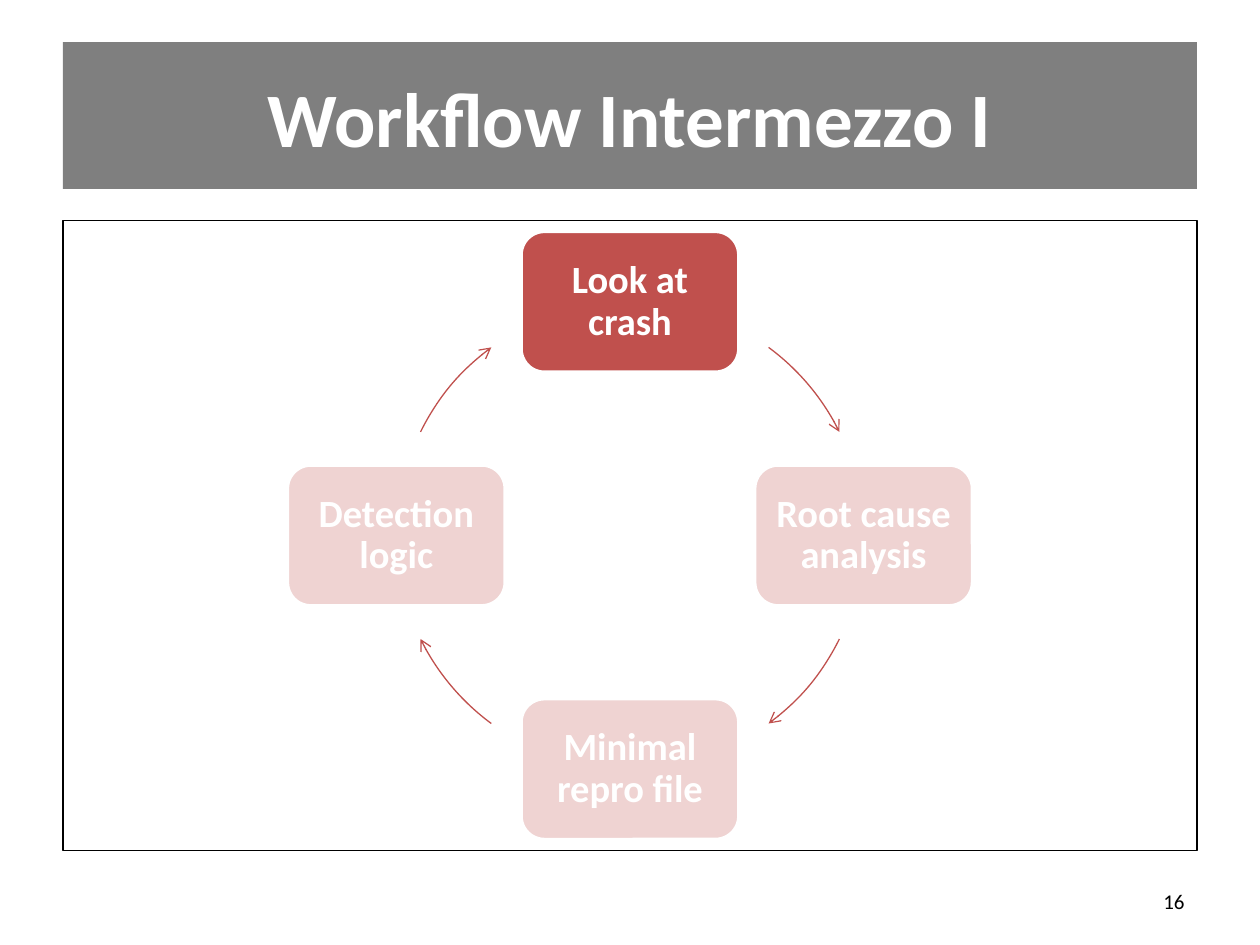
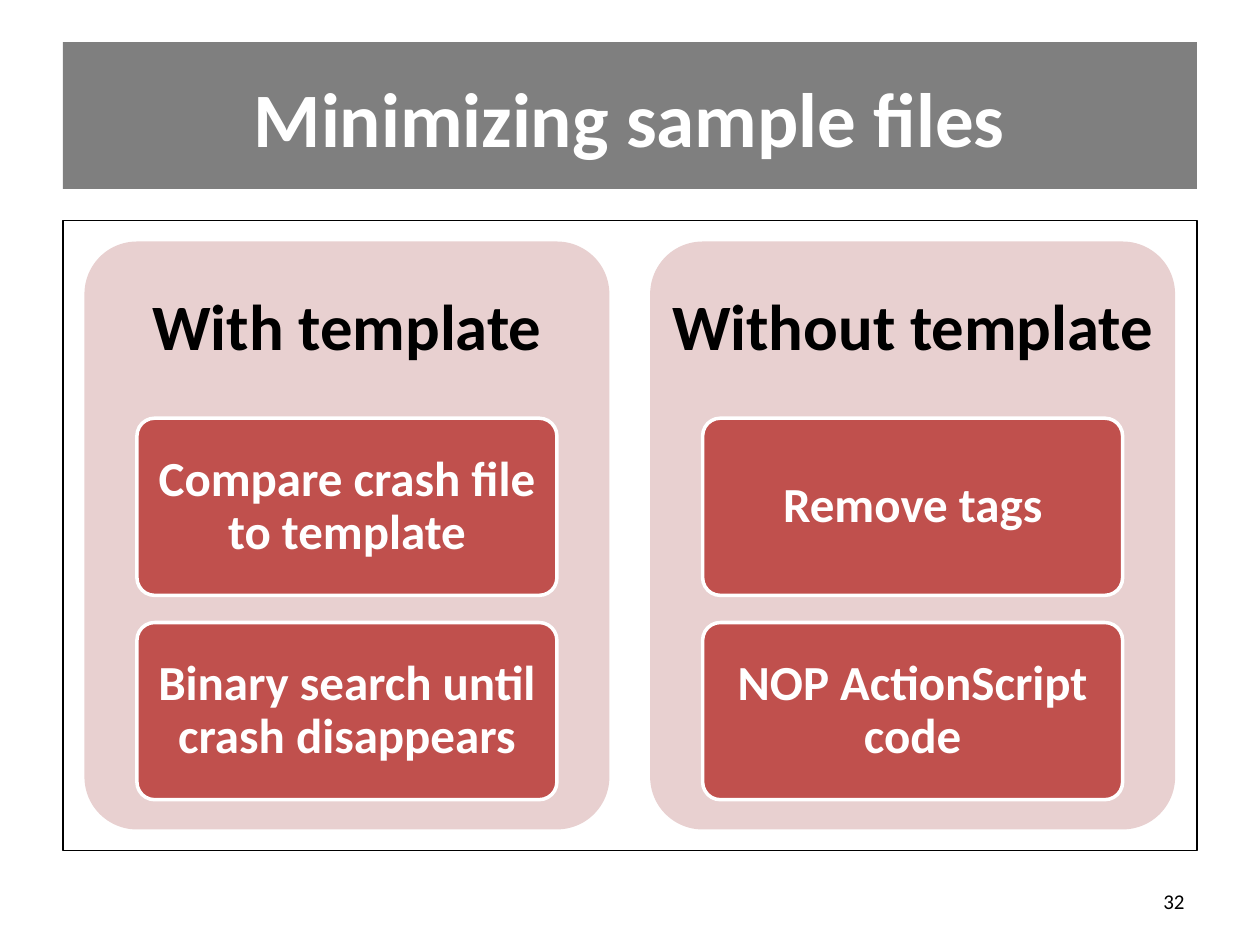
from lxml import etree
from pptx import Presentation
from pptx.dml.color import RGBColor
from pptx.enum.shapes import MSO_SHAPE as Shape
from pptx.enum.text import MSO_ANCHOR as Anchor, MSO_AUTO_SIZE as AutoSize, PP_ALIGN as Align
from pptx.oxml.ns import qn
from pptx.util import Pt

COLORS = {"ink": "000000", "paper": "FFFFFF", "red": "C0504D", "blush": "E8D0D0"}
FONT = "Calibri"
TITLE_ONLY = 5
MARGIN, CONTENT_WIDTH = 36, 648


def rgb(name):
    return RGBColor.from_string(COLORS[name])


def write(target, text, size, color="paper", bold=True, align=Align.CENTER,
          insets=(7.2, 3.6), spacing=None):
    """Fill a shape's text frame with one formatted paragraph."""
    frame = target.text_frame
    frame.word_wrap = True
    frame.auto_size = AutoSize.NONE
    frame.vertical_anchor = Anchor.MIDDLE
    frame.margin_left = frame.margin_right = Pt(insets[0])
    frame.margin_top = frame.margin_bottom = Pt(insets[1])
    paragraph = frame.paragraphs[0]
    paragraph.alignment = align
    if spacing:
        paragraph.line_spacing = spacing
    run = paragraph.add_run()
    run.text = text
    run.font.name, run.font.size, run.font.bold = FONT, Pt(size), bold
    run.font.color.rgb = rgb(color)


def add_block(slide, kind, box, fill=None, opacity=None, line=None, weight=1, corner=None):
    """Add a preset shape; box is left, top, width, height in points."""
    block = slide.shapes.add_shape(kind, *map(Pt, box))
    block.shadow.inherit = False
    if corner is not None:
        block.adjustments[0] = corner
    if fill:
        block.fill.solid()
        block.fill.fore_color.rgb = rgb(fill)
    else:
        block.fill.background()
    if opacity:
        color = block.element.spPr.find(qn("a:solidFill"))[0]
        etree.SubElement(color, qn("a:alpha"), val=str(opacity * 1000))
    if line:
        block.line.color.rgb = rgb(line)
        block.line.width = Pt(weight)
    else:
        block.line.fill.background()
    return block


def add_label(slide, box, text, size, **style):
    write(slide.shapes.add_textbox(*map(Pt, box)), text, size, **style)


def add_framed_slide(deck, heading, number):
    """Start a slide with the title band, content frame and page number."""
    slide = deck.slides.add_slide(deck.slide_layouts[TITLE_ONLY])
    title = slide.shapes.title
    title.left, title.top = Pt(MARGIN), Pt(21.6)
    title.width, title.height = Pt(CONTENT_WIDTH), Pt(90)
    write(title, heading, 44)

    # The band lies behind the title
    band = add_block(slide, Shape.RECTANGLE, (MARGIN, 24, CONTENT_WIDTH, 84), "ink", opacity=50)
    title.element.addprevious(band.element)
    add_block(slide, Shape.RECTANGLE, (MARGIN, 126, CONTENT_WIDTH, 360), line="ink")
    add_label(slide, (516, 500.5, 168, 28.75), number, 12, color="ink", bold=False,
              align=Align.RIGHT)
    return slide


def add_cycle_arrow(slide, center, radius, start, end):
    """Draw a clockwise arc between two angles, in degrees from the right."""
    box = (center[0] - radius, center[1] - radius, 2 * radius, 2 * radius)
    arrow = add_block(slide, Shape.ARC, box, line="red", weight=0.75)
    for index, angle in enumerate((start, end)):
        arrow.adjustments[index] = angle * 0.6
    etree.SubElement(arrow.element.spPr.find(qn("a:ln")), qn("a:tailEnd"), type="arrow")


def add_workflow_cycle(slide, steps, active):
    center, radius = (360, 306), 133.5
    width, height = 124.5, 80.5
    directions = ((0, -1), (1, 0), (0, 1), (-1, 0))
    for index, (step, (dx, dy)) in enumerate(zip(steps, directions)):
        box = (center[0] + dx * radius - width / 2, center[1] + dy * radius - height / 2,
               width, height)
        node = add_block(slide, Shape.ROUNDED_RECTANGLE, box, "red",
                         opacity=None if step == active else 25, line="paper", weight=2)
        write(node, step, 22, insets=(6.5, 6.5), spacing=0.9)

        # Arrows beside the top and bottom nodes leave a wider gap there
        quarter = (270 + 90 * index) % 360
        lead, trail = (36.4, 63.7) if index % 2 == 0 else (26.3, 53.6)
        add_cycle_arrow(slide, center, radius, quarter + lead, quarter + trail)


def add_method_columns(slide, methods):
    width, pitch, top = 300, 323.25, 138
    card_inset, card_height, card_pitch = 30, 101.25, 116.75
    for column, (method, actions) in enumerate(methods.items()):
        left = 48.25 + column * pitch
        add_block(slide, Shape.ROUNDED_RECTANGLE, (left, top, width, 336), "blush", corner=0.1)
        add_label(slide, (left, top, width, 101), method, 37, color="ink",
                  insets=(10.5, 10.5), spacing=0.9)
        for row, action in enumerate(actions):
            box = (left + card_inset, 239 + row * card_pitch,
                   width - 2 * card_inset, card_height)
            card = add_block(slide, Shape.ROUNDED_RECTANGLE, box, "red",
                             line="paper", weight=2, corner=0.1)
            write(card, action, 28, insets=(5.75, 4.25), spacing=0.9)


def main():
    deck = Presentation()
    deck.slide_width, deck.slide_height = Pt(720), Pt(540)

    # Workflow cycle
    workflow = add_framed_slide(deck, "Workflow Intermezzo I", "16")
    steps = ("Look at crash", "Root cause analysis", "Minimal repro file", "Detection logic")
    add_workflow_cycle(workflow, steps, active="Look at crash")

    # Two ways to minimize a file
    minimizing = add_framed_slide(deck, "Minimizing sample files", "32")
    add_method_columns(minimizing, {
        "With template": ("Compare crash file to template",
                          "Binary search until crash disappears"),
        "Without template": ("Remove tags", "NOP ActionScript code"),
    })

    deck.save("out.pptx")


if __name__ == "__main__":
    main()
